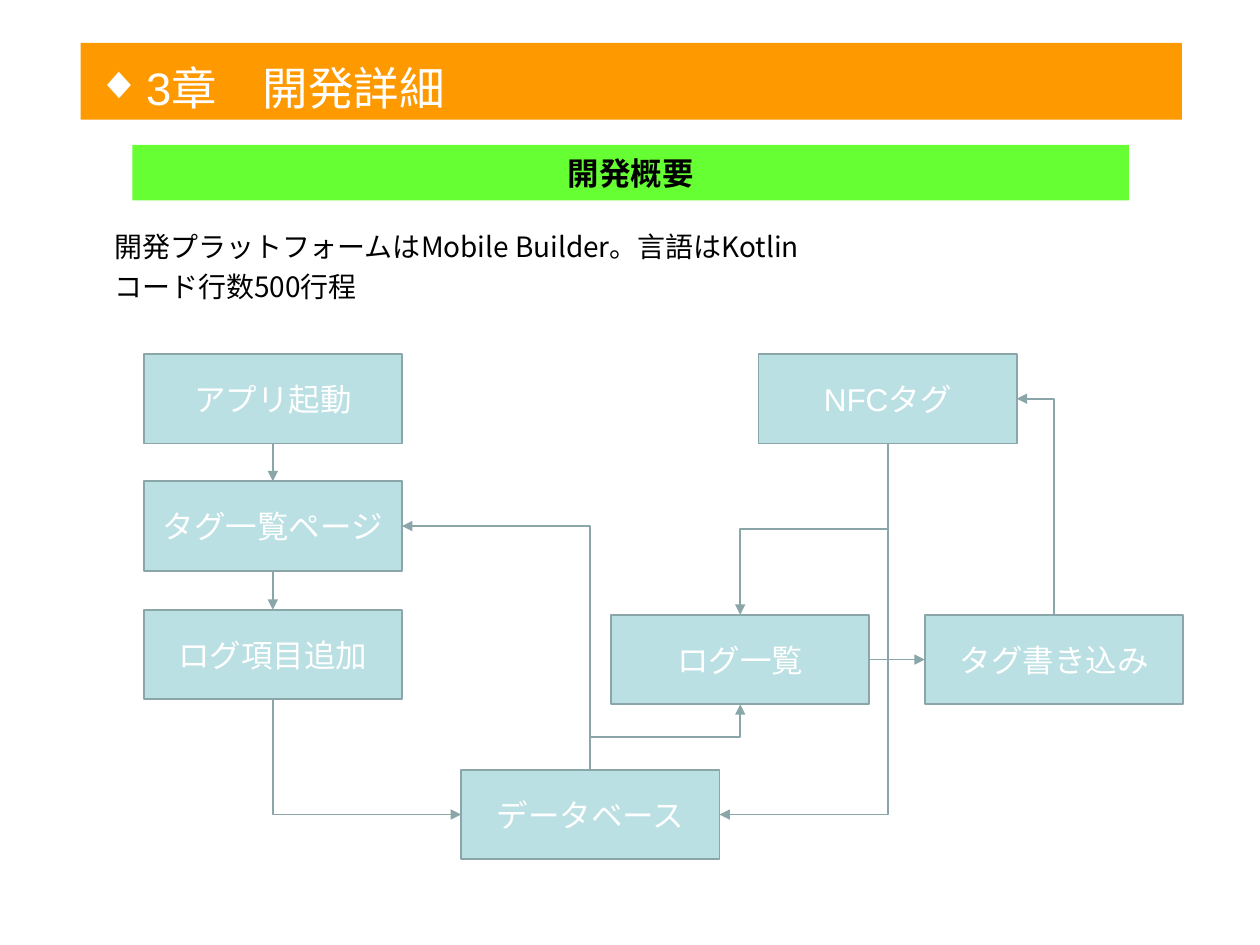
from dataclasses import dataclass

from lxml import etree
from pptx import Presentation
from pptx.dml.color import RGBColor
from pptx.enum.shapes import MSO_CONNECTOR, MSO_SHAPE
from pptx.enum.text import MSO_ANCHOR, MSO_AUTO_SIZE, PP_ALIGN
from pptx.oxml.ns import qn
from pptx.util import Inches, Pt

RECT = MSO_SHAPE.RECTANGLE
STRAIGHT, ELBOW = MSO_CONNECTOR.STRAIGHT, MSO_CONNECTOR.ELBOW
LEFT, CENTER = PP_ALIGN.LEFT, PP_ALIGN.CENTER
TOP, MIDDLE = MSO_ANCHOR.TOP, MSO_ANCHOR.MIDDLE
FIXED = MSO_AUTO_SIZE.NONE

COLS, ROWS = 100, 75
SLIDE_W, SLIDE_H = Inches(10), Inches(7.5)
BOX_W, BOX_H = 20.5, 7.1
SITE_TOP, SITE_LEFT, SITE_BOTTOM, SITE_RIGHT = range(4)

ORANGE, GREEN, PALE, EDGE = "FF9900", "66FF33", "BBE0E3", "8AA6A8"
WHITE, BLACK = "FFFFFF", "000000"
LATIN, JAPANESE = "Arial", "Noto Sans CJK JP"


@dataclass(frozen=True)
class Box:
    text: str
    col: float
    row: float


@dataclass(frozen=True)
class Link:
    start: str
    start_site: int
    end: str
    end_site: int
    geometry: str = "line"


BOXES = [
    Box("アプリ起動", 11.4, 28.1),
    Box("タグ一覧ページ", 11.4, 38.2),
    Box("ログ項目追加", 11.4, 48.4),
    Box("データベース", 36.6, 61.1),
    Box("NFCタグ", 60.2, 28.1),
    Box("ログ一覧", 48.5, 48.8),
    Box("タグ書き込み", 73.4, 48.8),
]

LINKS = [
    Link("アプリ起動", SITE_BOTTOM, "タグ一覧ページ", SITE_TOP),
    Link("タグ一覧ページ", SITE_BOTTOM, "ログ項目追加", SITE_TOP),
    Link("ログ項目追加", SITE_BOTTOM, "データベース", SITE_LEFT, "bentConnector2"),
    Link("データベース", SITE_TOP, "ログ一覧", SITE_BOTTOM, "bentConnector3"),
    Link("NFCタグ", SITE_BOTTOM, "データベース", SITE_RIGHT, "bentConnector2"),
    Link("データベース", SITE_TOP, "タグ一覧ページ", SITE_RIGHT, "bentConnector2"),
    Link("NFCタグ", SITE_BOTTOM, "ログ一覧", SITE_TOP, "bentConnector3"),
    Link("タグ書き込み", SITE_TOP, "NFCタグ", SITE_RIGHT, "bentConnector2"),
    Link("ログ一覧", SITE_RIGHT, "タグ書き込み", SITE_LEFT),
]


def color(value: str) -> RGBColor:
    return RGBColor.from_string(value)


def area(col: float, row: float, width: float, height: float) -> tuple:
    return (int(SLIDE_W * col / COLS), int(SLIDE_H * row / ROWS),
            int(SLIDE_W * width / COLS), int(SLIDE_H * height / ROWS))


def write(sp, text: str, size: float, fill: str, align=LEFT, anchor=TOP,
          font: str = LATIN, bold: bool = False, wrap: bool = True) -> None:
    tf = sp.text_frame
    tf.text = text
    tf.word_wrap, tf.auto_size, tf.vertical_anchor = wrap, FIXED, anchor
    for p in tf.paragraphs:
        p.alignment = align
        for r in p.runs:
            r.font.name, r.font.size, r.font.bold = font, Pt(size), bold
            r.font.color.rgb = color(fill)
            latin = r.font._element.find(qn("a:latin"))
            east_asian = etree.Element(qn("a:ea"), typeface=JAPANESE)
            latin.addnext(east_asian)


def add_rect(s, place: tuple, fill: str, edge: str = ""):
    sp = s.shapes.add_shape(RECT, *place)
    sp.shadow.inherit = False
    sp.fill.solid()
    sp.fill.fore_color.rgb = color(fill)
    if edge:
        sp.line.color.rgb = color(edge)
        sp.line.width = Pt(1)
    else:
        sp.line.fill.background()
    return sp


def add_box(s, box: Box):
    sp = add_rect(s, area(box.col, box.row, BOX_W, BOX_H), PALE, EDGE)
    write(sp, box.text, 18, WHITE, CENTER, MIDDLE)
    return sp


def turn_vertical_first(line, geometry: str) -> None:
    dx, dy = line.end_x - line.begin_x, line.end_y - line.begin_y
    mid_x, mid_y = (line.begin_x + line.end_x) // 2, (line.begin_y + line.end_y) // 2
    width, height = abs(dy), abs(dx)
    line.left, line.top = mid_x - width // 2, mid_y - height // 2
    line.width, line.height = width, height
    xfrm = line._element.spPr.find(qn("a:xfrm"))
    xfrm.set("rot", str((90 if dy > 0 else 270) * 60000))
    xfrm.set("flipH", "0")
    xfrm.set("flipV", "1" if (dx > 0) == (dy > 0) else "0")
    line._element.spPr.find(qn("a:prstGeom")).set("prst", geometry)


def add_link(s, boxes: dict, link: Link) -> None:
    bent = link.geometry != "line"
    line = s.shapes.add_connector(ELBOW if bent else STRAIGHT, 0, 0, 0, 0)
    line.begin_connect(boxes[link.start], link.start_site)
    line.end_connect(boxes[link.end], link.end_site)
    if bent:
        turn_vertical_first(line, link.geometry)
    line.line.color.rgb = color(EDGE)
    line.line.width = Pt(1)
    etree.SubElement(line.line._get_or_add_ln(), qn("a:tailEnd"), type="triangle")
    etree.SubElement(line._element.spPr, qn("a:effectLst"))


def add_heading(s) -> None:
    add_rect(s, area(6.4, 3.4, 87.4, 6.1), ORANGE)
    diamond = s.shapes.add_textbox(*area(6.7, 3.9, 5.6, 5.3))
    write(diamond, "◆", 26, WHITE, wrap=False)
    title = s.shapes.title
    title.left, title.top, title.width, title.height = area(10.6, 4.3, 28, 5.4)
    write(title, "3章　開発詳細", 26, WHITE)
    s.shapes._spTree.append(title._element)


def add_overview(s) -> None:
    banner = add_rect(s, area(10.5, 11.5, 79.1, 4.4), GREEN)
    write(banner, "開発概要", 18, BLACK, CENTER, MIDDLE, bold=True)
    body = s.shapes.add_textbox(*area(5.9, 17.7, 88.9, 6.9))
    body.text_frame.margin_left = int(SLIDE_W * 3.2 / COLS)
    write(body, "開発プラットフォームはMobile Builder。言語はKotlin\nコード行数500行程",
          16, BLACK, font=JAPANESE)
    body.text_frame.paragraphs[1].space_before = Pt(4)


def main() -> None:
    prs = Presentation()
    prs.slide_width, prs.slide_height = SLIDE_W, SLIDE_H
    s = prs.slides.add_slide(prs.slide_layouts[5])
    add_heading(s)
    add_overview(s)
    boxes = {box.text: add_box(s, box) for box in BOXES}
    for link in LINKS:
        add_link(s, boxes, link)
    prs.save("out.pptx")


if __name__ == "__main__":
    main()
